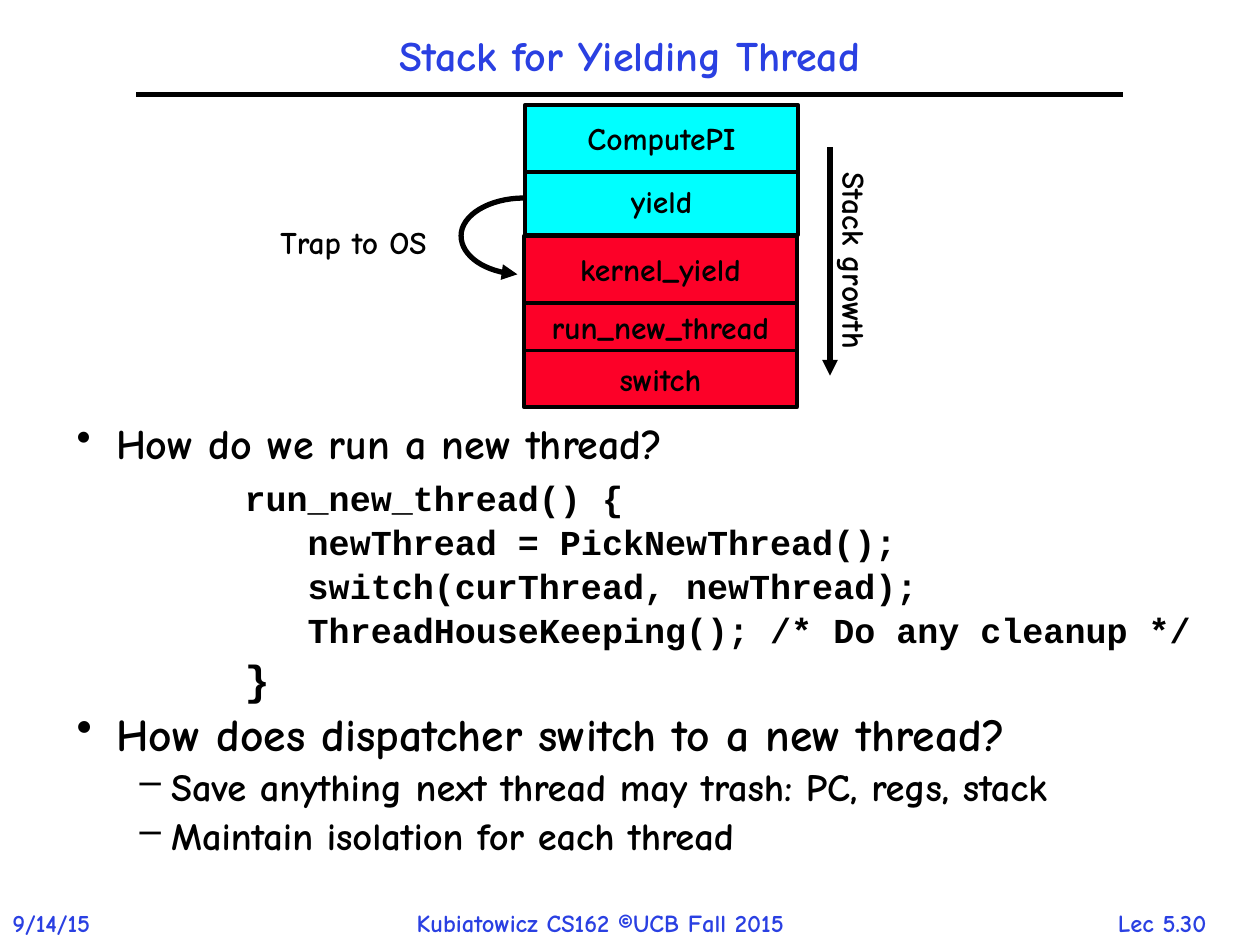
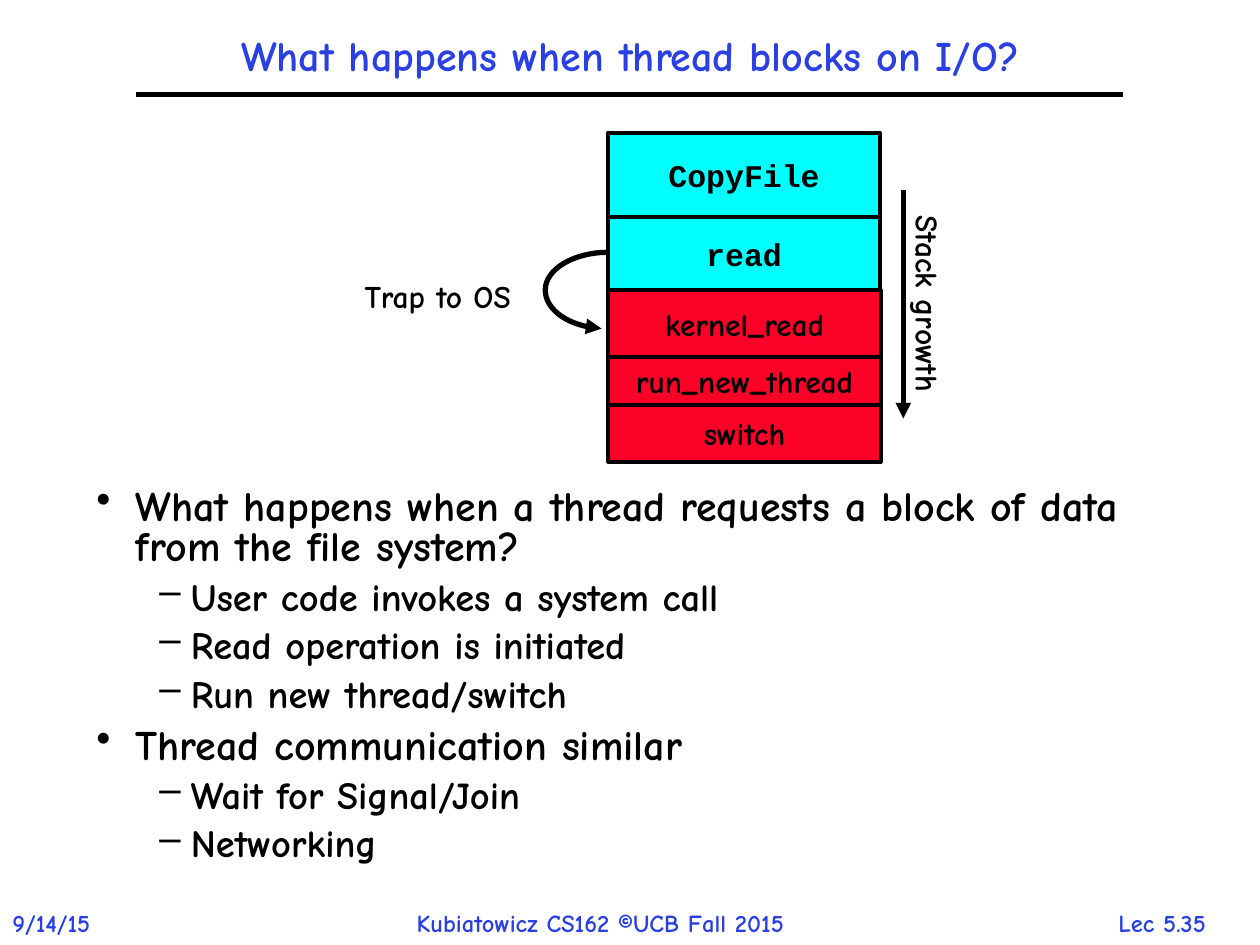
from lxml.etree import SubElement
from pptx import Presentation
from pptx.dml.color import RGBColor
from pptx.enum.shapes import MSO_CONNECTOR as Connector, MSO_SHAPE as Preset
from pptx.enum.text import MSO_ANCHOR as Anchor, PP_ALIGN as Align
from pptx.oxml.ns import qn
from pptx.util import Pt

COLORS = {"ink": "000000", "accent": "2A40E2", "user": "00FFFF", "kernel": "FC0128"}
SANS, MONO = "Comic Neue", "Courier New"
FRAME_WIDTH = 155.7

# Paragraph styles: bullet, left margin, first-line indent, size, font, space before in percent
STYLES = {
    "point": ("•", 22.5, -22.5, 24, SANS, 30),
    "big point": ("•", 22.5, -22.5, 26, SANS, 30),
    "detail": ("–", 54, -18, 22, SANS, 30),
    "code start": (None, 96, 0, 20, MONO, 48),
    "code": (None, 96, 0, 20, MONO, 30),
    "code end": (None, 96, 0, 24, MONO, 30),
}


def color(name):
    return RGBColor.from_string(COLORS[name])


def write(paragraph, text, size=18, font=SANS, ink="ink", align=Align.CENTER, spacing=None):
    paragraph.text = text
    paragraph.alignment = align
    if spacing:
        paragraph.line_spacing = spacing
    paragraph.font.size = Pt(size)
    paragraph.font.name = font
    paragraph.font.bold = True
    paragraph.font.color.rgb = color(ink)


def add_label(slide, box, text, anchor=Anchor.TOP, rotation=0, **text_format):
    label = slide.shapes.add_textbox(*map(Pt, box))
    label.rotation = rotation
    label.text_frame.word_wrap = True
    label.text_frame.vertical_anchor = anchor
    write(label.text_frame.paragraphs[0], text, **text_format)


def style_stroke(shape, arrow=False):
    """Give a connector or curve its thick black stroke, without a shadow."""
    shape.line.color.rgb = color("ink")
    shape.line.width = Pt(3)
    if arrow:
        SubElement(shape.line._get_or_add_ln(), qn("a:tailEnd"), type="triangle")


def add_line(slide, start, end, arrow=False):
    line = slide.shapes.add_connector(Connector.STRAIGHT, *map(Pt, start + end))
    style_stroke(line, arrow)
    SubElement(line._element.spPr, qn("a:effectLst"))


def add_chrome(slide, title, number):
    """Title with its rule, and the three footer texts."""
    add_line(slide, (78, 54), (642, 54))
    add_label(slide, (78, 12.2, 564, 41.8), title, Anchor.MIDDLE,
              size=24, ink="accent", spacing=0.9)
    for box, text, align in (
        ((0, 515.5, 72, 24.5), "9/14/15", Align.LEFT),
        ((231, 515.5, 260, 24.5), "Kubiatowicz CS162 ©UCB Fall 2015", Align.LEFT),
        ((620.6, 515.5, 87, 24.5), f"Lec {number}", Align.CENTER),
    ):
        add_label(slide, box, text, size=14, ink="accent", align=align)


def add_frame(slide, box, call, fill, font=SANS):
    frame = slide.shapes.add_shape(Preset.RECTANGLE, *map(Pt, box))
    frame.shadow.inherit = False
    frame.fill.solid()
    frame.fill.fore_color.rgb = color(fill)
    frame.line.color.rgb = color("ink")
    frame.line.width = Pt(2.25)
    frame.text_frame.vertical_anchor = Anchor.MIDDLE
    write(frame.text_frame.paragraphs[0], call, font=font)


def bezier(p0, p1, p2, p3, steps=16):
    """Points along a cubic curve, after its first point."""
    for step in range(1, steps + 1):
        t = step / steps
        weights = ((1 - t) ** 3, 3 * t * (1 - t) ** 2, 3 * t * t * (1 - t), t ** 3)
        yield tuple(sum(w * p[axis] for w, p in zip(weights, (p0, p1, p2, p3)))
                    for axis in (0, 1))


def add_trap(slide, left, top):
    """Curved arrow and label; (left, top) is the corner of the first kernel frame."""
    start, turn, end = (0, -21.6), (-36, 0), (-3.8, 22)
    points = [*bezier(start, (-19.8, -21.6), (-36, -11.9), turn),
              *bezier(turn, (-36, 11.5), (-22.3, 20.9), end)]
    builder = slide.shapes.build_freeform(Pt(left), Pt(top + start[1]))
    builder.add_line_segments([(Pt(left + x), Pt(top + y)) for x, y in points], close=False)
    curve = builder.convert_to_shape()
    curve.shadow.inherit = False
    curve.fill.background()
    style_stroke(curve, arrow=True)
    add_label(slide, (left - 155.5, top - 10.8, 116, 28.8), "Trap to OS")


def add_growth(slide, left, top):
    add_line(slide, (left, top), (left, top + 130.5), arrow=True)
    width, height = 131, 28.8
    add_label(slide, (left + 14.2 - width / 2, top + 64.8 - height / 2, width, height),
              "Stack growth", rotation=90)


def add_stack(slide, left, top, user_shift, user_frames, kernel_call, font=SANS):
    """Call stack; (left, top) is the corner where the kernel frames begin."""
    for call, rise, height in user_frames:
        add_frame(slide, (left + user_shift, top - rise, FRAME_WIDTH, height),
                  call, "user", font)
    frame_top = top
    for call, height in ((kernel_call, 38.2), ("run_new_thread", 27.3), ("switch", 32.5)):
        add_frame(slide, (left, frame_top, FRAME_WIDTH, height), call, "kernel")
        frame_top += height
    add_trap(slide, left, top)


def add_body(slide, box, lines):
    body = slide.shapes.add_textbox(*map(Pt, box)).text_frame
    body.word_wrap = True
    for index, (style, text) in enumerate(lines):
        bullet, margin, indent, size, font, before = STYLES[style]
        paragraph = body.add_paragraph() if index else body.paragraphs[0]
        properties = paragraph._p.get_or_add_pPr()
        properties.set("marL", str(Pt(margin)))
        properties.set("indent", str(Pt(indent)))
        if index:
            space = SubElement(properties, qn("a:spcBef"))
            SubElement(space, qn("a:spcPct"), val=str(before * 1000))
        if bullet:
            SubElement(properties, qn("a:buChar"), char=bullet)
        write(paragraph, text, size=size, font=font, align=Align.LEFT, spacing=0.8)


def build_yielding(slide):
    add_chrome(slide, "Stack for Yielding Thread", "5.30")
    add_body(slide, (36.7, 240.5, 683.3, 275.8), [
        ("point", "How do we run a new thread?"),
        ("code start", "run_new_thread() {"),
        ("code", "   newThread = PickNewThread();"),
        ("code", "   switch(curThread, newThread);"),
        ("code", "   ThreadHouseKeeping(); /* Do any cleanup */"),
        ("code end", "}"),
        ("big point", "How does dispatcher switch to a new thread?"),
        ("detail", "Save anything next thread may trash: PC, regs, stack"),
        ("detail", "Maintain isolation for each thread"),
    ])
    add_stack(slide, 299.5, 134.8, 0.7,
              [("yield", 38.9, 38.2), ("ComputePI", 74.9, 38.2)], "kernel_yield")
    add_growth(slide, 474.3, 84.2)


def build_blocking(slide):
    add_chrome(slide, "What happens when thread blocks on I/O?", "5.35")
    add_body(slide, (48, 276, 636, 240), [
        ("point", "What happens when a thread requests a block of data from the file system?"),
        ("detail", "User code invokes a system call"),
        ("detail", "Read operation is initiated"),
        ("detail", "Run new thread/switch"),
        ("point", "Thread communication similar"),
        ("detail", "Wait for Signal/Join"),
        ("detail", "Networking"),
    ])
    add_stack(slide, 347.6, 165.8, -0.3,
              [("read", 41.8, 41.8), ("CopyFile", 89.6, 48)], "kernel_read", MONO)
    add_growth(slide, 516.2, 108.7)


def main():
    deck = Presentation()
    deck.slide_width, deck.slide_height = Pt(720), Pt(540)
    for build in (build_yielding, build_blocking):
        build(deck.slides.add_slide(deck.slide_layouts[6]))
    deck.save("out.pptx")


if __name__ == "__main__":
    main()
